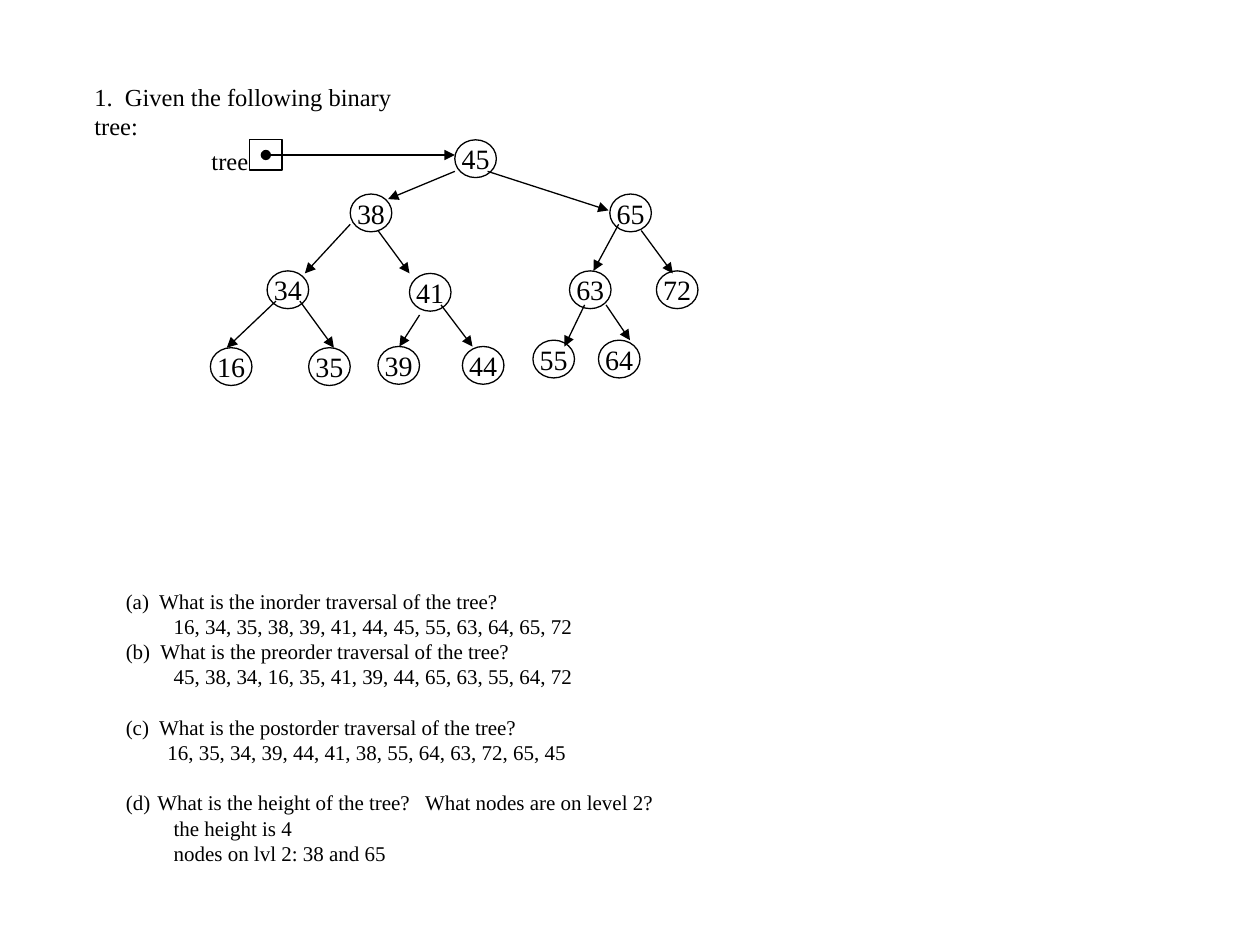
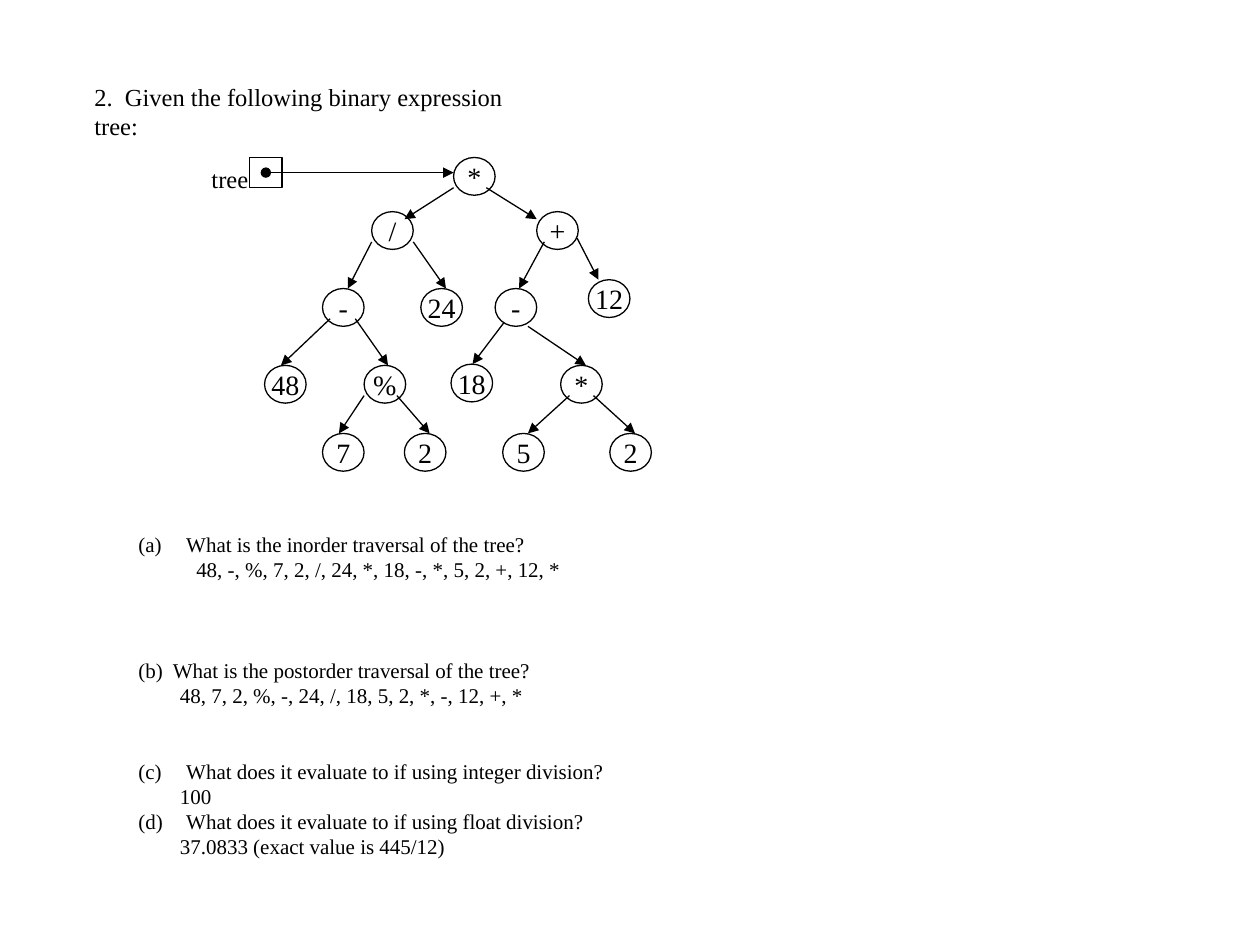
from dataclasses import dataclass

from lxml import etree
from pptx import Presentation, util as u
from pptx.dml.color import RGBColor
from pptx.enum import shapes, text
from pptx.oxml import ns


@dataclass(frozen=True)
class Theme:
    """Colours, type sizes and measures shared by both slides."""
    font: str = "Times New Roman"
    ink: RGBColor = RGBColor(0, 0, 0)
    title_size: int = 14
    body_size: int = 12
    node_size: int = 16
    line_width: float = 0.75
    line_height: float = 1.2
    node_width: float = 0.33
    node_height: float = 0.3


THEME = Theme()

# Node: label, left, top, then the arrow that reaches it (from x, y, to x, y)
SEARCH_TREE = [
    ("45", 2.03, 0, None),
    ("38", 1.2, 0.43, (2.03, 0.25, 1.5, 0.47)),
    ("65", 3.26, 0.43, (2.29, 0.25, 3.25, 0.56)),
    ("34", 0.54, 1.04, (1.2, 0.67, 0.84, 1.06)),
    ("41", 1.67, 1.06, (1.42, 0.72, 1.67, 1.06)),
    ("63", 2.94, 1.04, (3.33, 0.67, 3.13, 1.04)),
    ("72", 3.63, 1.04, (3.51, 0.72, 3.76, 1.06)),
    ("16", 0.09, 1.65, (0.61, 1.28, 0.22, 1.65)),
    ("35", 0.87, 1.65, (0.8, 1.28, 1.07, 1.65)),
    ("39", 1.42, 1.64, (1.75, 1.39, 1.59, 1.64)),
    ("44", 2.09, 1.64, (1.92, 1.31, 2.17, 1.64)),
    ("55", 2.65, 1.59, (3.06, 1.31, 2.9, 1.64)),
    ("64", 3.17, 1.59, (3.23, 1.31, 3.42, 1.59)),
]
EXPRESSION_TREE = [
    ("*", 2.02, 0, None),
    ("/", 1.37, 0.43, (2.02, 0.24, 1.63, 0.49)),
    ("+", 2.68, 0.43, (2.28, 0.24, 2.68, 0.49)),
    ("-", 0.98, 1.04, (1.37, 0.67, 1.18, 1.04)),
    ("24", 1.76, 1.04, (1.7, 0.67, 1.96, 1.04)),
    ("-", 2.35, 1.04, (2.74, 0.67, 2.54, 1.04)),
    ("12", 3.09, 0.97, (3, 0.64, 3.17, 0.97)),
    ("48", 0.52, 1.65, (1.04, 1.28, 0.65, 1.65)),
    ("%", 1.31, 1.65, (1.24, 1.28, 1.5, 1.65)),
    ("18", 2, 1.64, (2.42, 1.31, 2.17, 1.64)),
    ("*", 2.87, 1.65, (2.61, 1.34, 3.07, 1.65)),
    ("7", 0.98, 2.19, (1.31, 1.89, 1.11, 2.19)),
    ("2", 1.63, 2.19, (1.57, 1.89, 1.83, 2.19)),
    ("5", 2.41, 2.19, (2.94, 1.89, 2.61, 2.19)),
    ("2", 3.26, 2.19, (3.13, 1.89, 3.46, 2.19)),
]

# Question: number or None when typed, text, hang, lines skipped before, answer indent, answers
TREE_QUESTIONS = [
    (None, "(a)  What is the inorder traversal of the tree?", 0, 0, 0.38,
     ["16, 34, 35, 38, 39, 41, 44, 45, 55, 63, 64, 65, 72"]),
    (None, "(b)  What is the preorder traversal of the tree?", 0, 0, 0.38,
     ["45, 38, 34, 16, 35, 41, 39, 44, 65, 63, 55, 64, 72"]),
    (None, "(c)  What is the postorder traversal of the tree?", 0, 1, 0.33,
     ["16, 35, 34, 39, 44, 41, 38, 55, 64, 63, 72, 65, 45"]),
    (4, "What is the height of the tree?   What nodes are on level 2?", 0.25, 1, 0.38,
     ["the height is 4", "nodes on lvl 2: 38 and 65"]),
]
EXPRESSION_QUESTIONS = [
    (1, "What is the inorder traversal of the tree?", 0.38, 0, 0.46,
     ["48, -, %, 7, 2, /, 24, *, 18, -, *, 5, 2, +, 12, *"]),
    (None, "(b)  What is the postorder traversal of the tree?", 0, 3, 0.33,
     ["48, 7, 2, %, -, 24, /, 18, 5, 2, *, -, 12, +, *"]),
    (3, "What does it evaluate to if using integer division?", 0.38, 2, 0.33, ["100"]),
    (4, "What does it evaluate to if using float division?", 0.38, 0, 0.33,
     ["37.0833 (exact value is 445/12)"]),
]


def inches(*lengths):
    """Turn numbers into lengths."""
    return [u.Inches(length) for length in lengths]


def style_font(para, size):
    """Give a paragraph the shared face and colour."""
    para.font.name = THEME.font
    para.font.size = u.Pt(size)
    para.font.color.rgb = THEME.ink


def write_line(para, words, size, indent=0, hang=0, number=None, skipped=0):
    """Write one paragraph with its indent, numbering and space before."""
    height = size * THEME.line_height
    para.text = words
    para.line_spacing = u.Pt(height)
    para.space_before = u.Pt(height * skipped)
    properties = para._p.get_or_add_pPr()
    properties.set("marL", str(u.Inches(indent + hang)))
    properties.set("indent", str(u.Inches(-hang)))
    if number:
        etree.SubElement(properties, ns.qn("a:buAutoNum"),
                         type="alphaLcParenBoth", startAt=str(number))
    style_font(para, size)


def add_text_box(page, box, wrap=True):
    """Add an empty text box and return its frame."""
    frame = page.shapes.add_textbox(*inches(*box)).text_frame
    frame.word_wrap = wrap
    return frame


def add_outline(page, kind, box):
    """Add an unfilled shape with a thin outline."""
    shape = page.shapes.add_shape(kind, *inches(*box))
    shape.shadow.inherit = False
    shape.fill.background()
    shape.line.color.rgb = THEME.ink
    shape.line.width = u.Pt(THEME.line_width)
    return shape


def add_arrow(page, origin, ends, dotted=False):
    """Add an arrow, with a round start if dotted."""
    left, top = origin
    x1, y1, x2, y2 = ends
    arrow = page.shapes.add_connector(
        shapes.MSO_CONNECTOR.STRAIGHT, *inches(left + x1, top + y1, left + x2, top + y2))
    arrow.line.color.rgb = THEME.ink
    arrow.line.width = u.Pt(THEME.line_width)
    line = arrow.line._get_or_add_ln()
    if dotted:
        etree.SubElement(line, ns.qn("a:headEnd"), type="oval")
    etree.SubElement(line, ns.qn("a:tailEnd"), type="triangle")
    etree.SubElement(arrow._element.spPr, ns.qn("a:effectLst"))


def add_node(page, label, left, top):
    """Add a labelled tree node."""
    node = add_outline(page, shapes.MSO_SHAPE.OVAL,
                       (left, top, THEME.node_width, THEME.node_height))
    frame = node.text_frame
    frame.word_wrap = False
    frame.vertical_anchor = text.MSO_ANCHOR.MIDDLE
    frame.margin_left = frame.margin_right = frame.margin_top = frame.margin_bottom = 0
    para = frame.paragraphs[0]
    para.text = label
    para.alignment = text.PP_ALIGN.CENTER
    style_font(para, THEME.node_size)


def add_tree(page, origin, nodes):
    """Draw the tree pointer, the nodes and their arrows."""
    left, top = origin
    frame = add_text_box(page, (left, top, 0.49, 0.33), wrap=False)
    write_line(frame.paragraphs[0], "tree", THEME.title_size)
    add_outline(page, shapes.MSO_SHAPE.RECTANGLE, (left + 0.4, top, 0.26, 0.24))
    add_arrow(page, origin, (0.53, 0.12, nodes[0][1], 0.12), dotted=True)
    for label, x, y, ends in nodes:
        add_node(page, label, left + x, top + y)
        if ends:
            add_arrow(page, origin, ends)


def add_questions(page, box, questions):
    """List the questions, each followed by its answers."""
    frame = add_text_box(page, box)
    lines = []
    for number, question, hang, skipped, indent, answers in questions:
        lines.append((question, THEME.body_size, 0, hang, number, skipped))
        lines += [(answer, THEME.body_size, indent) for answer in answers]
    for index, line in enumerate(lines):
        para = frame.add_paragraph() if index else frame.paragraphs[0]
        write_line(para, *line)


def add_exercise(deck, title, title_width, tree_origin, nodes, question_box, questions):
    """Build one exercise slide."""
    page = deck.slides.add_slide(deck.slide_layouts[6])
    frame = add_text_box(page, (0.65, 0.6, title_width, 0.33))
    write_line(frame.paragraphs[0], title, THEME.title_size)
    add_questions(page, question_box, questions)
    add_tree(page, tree_origin, nodes)


def main():
    """Build and save the deck."""
    deck = Presentation()
    deck.slide_width, deck.slide_height = inches(10, 7.5)
    add_exercise(deck, "1.  Given the following binary tree:", 2.85,
                 (1.58, 1.11), SEARCH_TREE, (0.9, 4.62, 4.45, 2.32), TREE_QUESTIONS)
    add_exercise(deck, "2.  Given the following binary expression tree:", 3.75,
                 (1.58, 1.25), EXPRESSION_TREE, (1, 4.17, 3.94, 3.13), EXPRESSION_QUESTIONS)
    deck.save("out.pptx")


if __name__ == "__main__":
    main()
